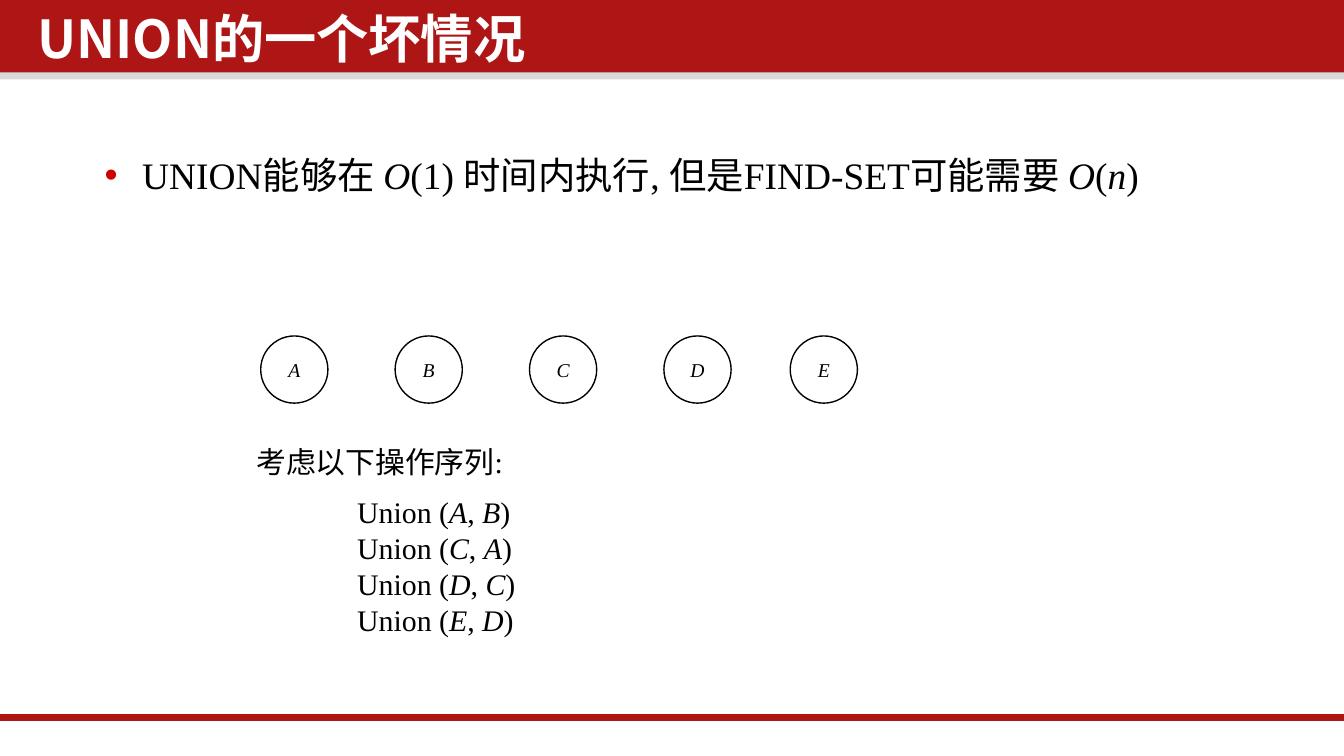
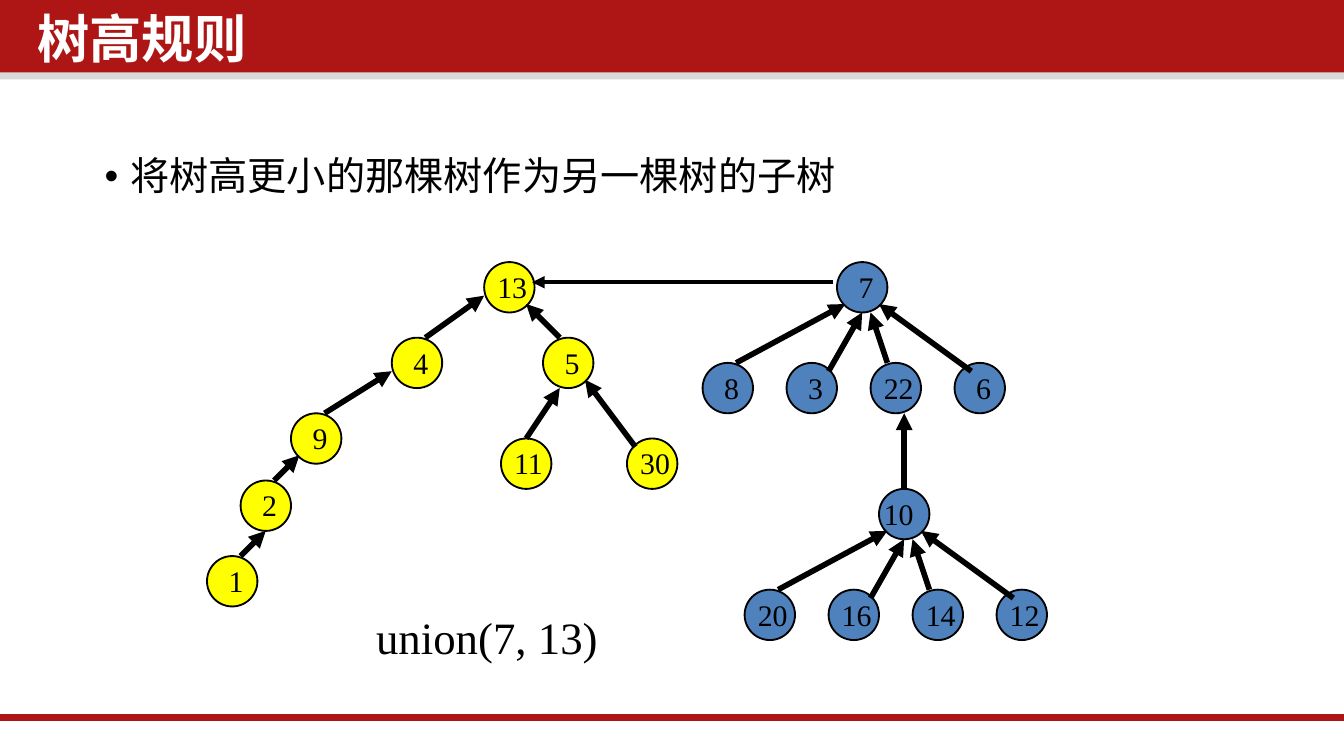
from pptx import Presentation
from pptx.util import Inches, Pt
from pptx.dml.color import RGBColor
from pptx.enum.shapes import MSO_SHAPE, MSO_CONNECTOR
from pptx.enum.text import MSO_ANCHOR, PP_ALIGN
from pptx.oxml.ns import qn
from lxml.etree import SubElement

W = 10
H = W * 9 / 16
RED, GREY, BLACK, WHITE = "AE1616", "D9D9D9", "000000", "FFFFFF"
YELLOW, BLUE, BULLET_RED = "FFFF00", "4F81BD", "CE0000"
SERIF, SANS, CJK = "Times New Roman", "Roboto", "Noto Sans CJK SC"
BODY = (0.68, 1.12, 8.88, 3.47)

BAD_CASE = "UNION的一个坏情况"
COST = "UNION能够在 *O*(1) 时间内执行, 但是FIND-SET可能需要 *O*(*n*)"
SETS = {"A": 1.94, "B": 2.94, "C": 3.94, "D": 4.94, "E": 5.88}
SEQUENCE = "考虑以下操作序列:"
UNIONS = ["AB", "CA", "DC", "ED"]

HEIGHT_RULE = "树高规则"
RULE = "将树高更小的那棵树作为另一棵树的子树"
CALL = "union(7, 13)"

UNIT, LEFT, TOP, NODE = 1 / 16, 1.54, 1.95, 6
TALL_TREE = {"13": (33, 0), "4": (22, 9), "5": (40, 9), "9": (10, 18),
             "11": (35, 21), "30": (50, 21), "2": (4, 26), "1": (0, 35)}
TALL_ARROWS = [((26, 9), (33, 4)), ((14, 18), (22, 13)), ((42, 9), (38, 5)),
               ((8, 26), (11, 23)), ((38, 21), (42, 15)), ((51, 22), (45, 14)),
               ((4, 35), (7, 32))]
FANS = [("7", (75, 0), ["8", "3", "22", "6"]),
        ("10", (80, 27), ["20", "16", "14", "12"])]
FAN_LEFT, FAN_STEP, FAN_DROP = -16, 10, 12
FAN_ARROWS = [((-12, 12), (1, 5)), ((-1, 13), (3, 6)),
              ((6, 12), (4, 6)), ((16, 13), (5, 5))]
FAN_LINK = ((83, 27), (83, 18))


def rgb(color):
    return RGBColor.from_string(color)


def shape(s, kind, box, fill=None, line=None, width=1):
    sp = s.shapes.add_shape(kind, *map(Inches, box))
    sp.shadow.inherit = False
    if fill:
        sp.fill.solid()
        sp.fill.fore_color.rgb = rgb(fill)
    else:
        sp.fill.background()
    if line:
        sp.line.color.rgb = rgb(line)
        sp.line.width = Pt(width)
    else:
        sp.line.fill.background()
    return sp


def connect(s, start, end, color, width, arrow=False):
    c = s.shapes.add_connector(MSO_CONNECTOR.STRAIGHT, *map(Inches, (*start, *end)))
    c.line.color.rgb = rgb(color)
    c.line.width = Pt(width)
    if arrow:
        SubElement(c.line._get_or_add_ln(), qn("a:tailEnd"), type="triangle")
    SubElement(c._element.spPr, qn("a:effectLst"))


def write(p, text, size, font=SERIF, color=BLACK, bold=False):
    """Fill a paragraph; parts between asterisks are italic."""
    for n, line in enumerate(text.split("\n")):
        if n:
            p.add_line_break()
        for i, part in enumerate(line.split("*")):
            if part:
                r = p.add_run()
                r.text = part
                f = r.font
                f.size, f.name, f.bold, f.italic = Pt(size), font, bold, i % 2 == 1
                f.color.rgb = rgb(color)
                SubElement(r._r.get_or_add_rPr(), qn("a:ea"), typeface=CJK)


def text_box(s, box, text, size, **style):
    tf = s.shapes.add_textbox(*map(Inches, box)).text_frame
    tf.word_wrap = True
    write(tf.paragraphs[0], text, size, **style)
    return tf


def bullet(p, indent, color):
    p.line_spacing = 0.9
    pPr = p._p.get_or_add_pPr()
    pPr.set("marL", str(Inches(indent)))
    pPr.set("indent", str(-Inches(indent)))
    SubElement(SubElement(pPr, qn("a:buClr")), qn("a:srgbClr"), val=color)
    SubElement(pPr, qn("a:buFont"), typeface="Arial")
    SubElement(pPr, qn("a:buChar"), char="•")


def new_slide(prs, title):
    s = prs.slides.add_slide(prs.slide_layouts[6])
    shape(s, MSO_SHAPE.RECTANGLE, (0, 0.5, W, 0.09), GREY)
    shape(s, MSO_SHAPE.RECTANGLE, (0, 0, W, 0.54), RED)
    connect(s, (-0.02, 5.34), (W, 5.34), RED, 4)
    tf = text_box(s, (0.21, 0.06, 7.64, 0.59), title, 28,
                  font=CJK, color=WHITE, bold=True)
    tf.margin_left = tf.margin_right = Inches(0.07)
    tf.margin_top = tf.margin_bottom = Inches(0.04)
    p = tf.paragraphs[0]
    p.line_spacing, p.space_before = 0.9, Pt(7.5)
    return s


def at(col, row):
    return LEFT + col * UNIT, TOP + row * UNIT


def node(s, label, col, row, fill):
    shape(s, MSO_SHAPE.OVAL, (*at(col, row), NODE * UNIT, NODE * UNIT), fill, BLACK)
    shift = -1 if label == "10" else 2 - len(label)
    width = 0.25 if len(label) == 1 else 0.56
    text_box(s, (*at(col + shift, row), width, 0.37), label, 16)


def arrow(s, start, end, col=0, row=0):
    points = [at(col + x, row + y) for x, y in (start, end)]
    connect(s, *points, BLACK, 3, arrow=True)


def bad_case(prs):
    s = new_slide(prs, BAD_CASE)
    bullet(text_box(s, BODY, COST, 20).paragraphs[0], 0.28, BULLET_RED)
    for name, x in SETS.items():
        tf = shape(s, MSO_SHAPE.OVAL, (x, 2.5, 0.5, 0.5), line=BLACK, width=0.75).text_frame
        tf.word_wrap = False
        tf.vertical_anchor = MSO_ANCHOR.MIDDLE
        tf.paragraphs[0].alignment = PP_ALIGN.CENTER
        write(tf.paragraphs[0], f"*{name}*", 10.5)
    tf = text_box(s, (1.81, 3.25, 6.5, 1.58), SEQUENCE, 16)
    p = tf.add_paragraph()
    p.space_before = Pt(8)
    p._p.get_or_add_pPr().set("marL", str(Inches(0.75)))
    write(p, "\n".join(f"Union (*{a}*, *{b}*)" for a, b in UNIONS), 16)


def height_rule(prs):
    s = new_slide(prs, HEIGHT_RULE)
    bullet(text_box(s, BODY, RULE, 21, font=SANS).paragraphs[0], 0.19, BLACK)
    for label, (col, row) in TALL_TREE.items():
        node(s, label, col, row, YELLOW)
    for start, end in TALL_ARROWS:
        arrow(s, start, end)
    for root, (col, row), children in FANS:
        node(s, root, col, row, BLUE)
        for i, child in enumerate(children):
            node(s, child, col + FAN_LEFT + i * FAN_STEP, row + FAN_DROP, BLUE)
        for start, end in FAN_ARROWS:
            arrow(s, start, end, col, row)
    arrow(s, *FAN_LINK)
    text_box(s, (2.7, 4.49, 1.94, 0.5), CALL, 24)
    connect(s, (6.2, 2.1), (3.96, 2.1), BLACK, 2.25, arrow=True)


def main():
    prs = Presentation()
    prs.slide_width, prs.slide_height = Inches(W), Inches(H)
    bad_case(prs)
    height_rule(prs)
    prs.save("out.pptx")


if __name__ == "__main__":
    main()
